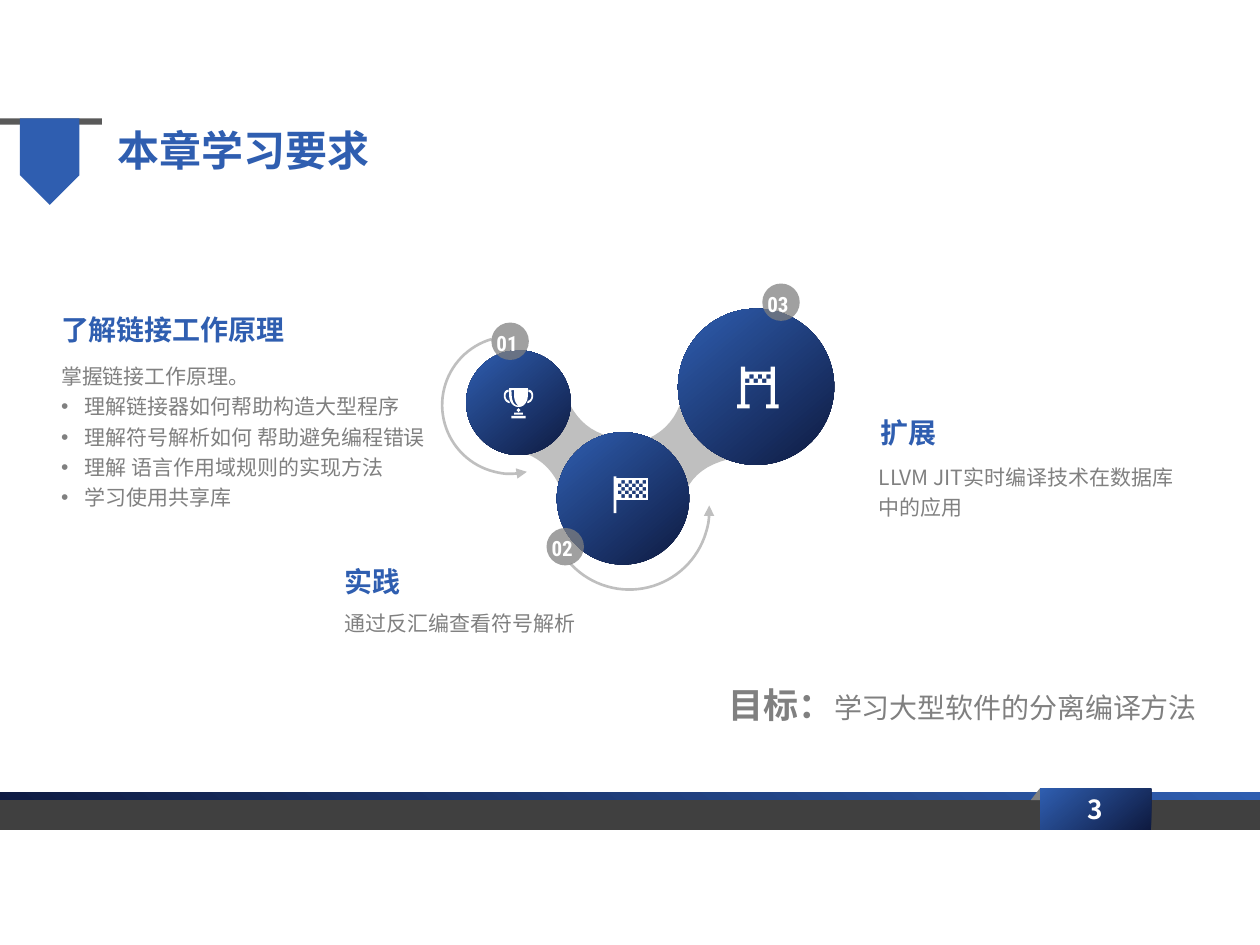
from typing import NamedTuple

from lxml import etree
from pptx import Presentation
from pptx.dml.color import RGBColor
from pptx.enum.shapes import MSO_SHAPE
from pptx.enum.text import MSO_ANCHOR, PP_ALIGN
from pptx.oxml.ns import qn
from pptx.util import Pt

RECT, OVAL = MSO_SHAPE.RECTANGLE, MSO_SHAPE.OVAL
ARC, WEDGE = MSO_SHAPE.ARC, MSO_SHAPE.ISOSCELES_TRIANGLE
TOP, MIDDLE = MSO_ANCHOR.TOP, MSO_ANCHOR.MIDDLE
LEFT, CENTER, JUSTIFY = PP_ALIGN.LEFT, PP_ALIGN.CENTER, PP_ALIGN.JUSTIFY

NAVY = RGBColor(0x0E, 0x1A, 0x40)
BLUE = RGBColor(0x2F, 0x5E, 0xB0)
DARK = RGBColor(0x40, 0x40, 0x40)
SLATE = RGBColor(0x59, 0x59, 0x59)
GRAY = RGBColor(0x80, 0x80, 0x80)
BADGE = RGBColor(0x7F, 0x7F, 0x7F)
SILVER = RGBColor(0xBF, 0xBF, 0xBF)
WHITE = RGBColor(0xFF, 0xFF, 0xFF)

SANS, NARROW = "Noto Sans CJK SC", "Roboto Condensed"


class Box(NamedTuple):
    x: float
    y: float
    w: float
    h: float


class Span(NamedTuple):
    text: str
    size: float
    color: RGBColor
    bold: bool = False
    font: str = SANS


class Line(NamedTuple):
    spans: list[Span]
    space: float = 1.0
    bullet: bool = False
    align: PP_ALIGN = LEFT


class Topic(NamedTuple):
    title: str
    head: Box
    body: Box
    lead: str
    items: tuple[str, ...] = ()


class Swirl(NamedTuple):
    box: Box
    turn: float
    start: float
    end: float


def lengths(box: Box) -> list[Pt]:
    return [Pt(v) for v in box]


def add_form(slide, kind, box: Box, color: RGBColor | None):
    form = slide.shapes.add_shape(kind, *lengths(box))
    form.shadow.inherit = False
    form.line.fill.background()
    if color is None:
        form.fill.background()
    else:
        form.fill.solid()
        form.fill.fore_color.rgb = color
    return form


def add_shade(slide, kind, box: Box, angle: float) -> None:
    fill = add_form(slide, kind, box, BLUE).fill
    fill.gradient()
    fill.gradient_angle = angle
    for stop, color, place in zip(fill.gradient_stops, (NAVY, BLUE), (0, 1)):
        stop.color.rgb = color
        stop.position = place


def flatten(path: list[tuple], steps: int = 12) -> list[tuple]:
    points = [path[0]]
    for part in path[1:]:
        if len(part) == 2:
            points.append(part)
            continue
        ax, ay = points[-1]
        bx, by, cx, cy, dx, dy = part
        for i in range(1, steps + 1):
            t = i / steps
            u = 1 - t
            k = (u**3, 3 * u * u * t, 3 * u * t * t, t**3)
            points.append((k[0] * ax + k[1] * bx + k[2] * cx + k[3] * dx,
                           k[0] * ay + k[1] * by + k[2] * cy + k[3] * dy))
    return points


def add_outline(slide, paths: list[list], color: RGBColor, x: float = 0, y: float = 0) -> None:
    rings = [[(Pt(x + a), Pt(y + b)) for a, b in flatten(path)] for path in paths]
    pen = slide.shapes.build_freeform(*rings[0][0], scale=1.0)
    for i, ring in enumerate(rings):
        if i:
            pen.move_to(*ring[0])
        pen.add_line_segments(ring[1:], close=True)
    form = pen.convert_to_shape()
    form.shadow.inherit = False
    form.fill.solid()
    form.fill.fore_color.rgb = color
    form.line.fill.background()


def block(x: float, y: float, w: float, h: float) -> list[tuple]:
    return [(x, y), (x + w, y), (x + w, y + h), (x, y + h)]


def checks(x: float, y: float, side: float, rows: int, cols: int) -> list[list]:
    return [block(x + c * side, y + r * side, side, side)
            for r in range(rows) for c in range(cols) if (r + c) % 2 == 0]


def write(frame, lines: list[Line], anchor: MSO_ANCHOR = TOP) -> None:
    frame.word_wrap = True
    frame.vertical_anchor = anchor
    for i, line in enumerate(lines):
        para = frame.add_paragraph() if i else frame.paragraphs[0]
        para.alignment = line.align
        para.line_spacing = line.space
        if line.bullet:
            props = para._p.get_or_add_pPr()
            props.set("marL", str(Pt(13.5)))
            props.set("indent", str(-Pt(13.5)))
            etree.SubElement(props, qn("a:buFont"), typeface="Arial")
            etree.SubElement(props, qn("a:buChar"), char="•")
        for span in line.spans:
            run = para.add_run()
            run.text = span.text
            font = run.font
            font.size, font.bold, font.name = Pt(span.size), span.bold, span.font
            font.color.rgb = span.color
            etree.SubElement(run._r.get_or_add_rPr(), qn("a:ea"), typeface=span.font)


def add_text(slide, box: Box, lines: list[Line], anchor: MSO_ANCHOR = TOP) -> None:
    frame = slide.shapes.add_textbox(*lengths(box)).text_frame
    frame.margin_left = frame.margin_right = Pt(5.4)
    frame.margin_top = frame.margin_bottom = Pt(2.7)
    write(frame, lines, anchor)


def add_swirl(slide, swirl: Swirl) -> None:
    form = add_form(slide, ARC, swirl.box, None)
    form.rotation = swirl.turn
    form.adjustments[0], form.adjustments[1] = swirl.start, swirl.end
    form.line.color.rgb = SILVER
    form.line.width = Pt(1.5)
    etree.SubElement(form.line._get_or_add_ln(), qn("a:headEnd"), type="triangle")


def add_badge(slide, x: float, y: float, label: str) -> None:
    form = add_form(slide, OVAL, Box(x, y, 21.4, 21.4), BADGE)
    tint = form._element.spPr.find(qn("a:solidFill"))[0]
    etree.SubElement(tint, qn("a:alpha"), val="74000")
    add_text(slide, Box(x - 2.5, y + 0.8, 26.6, 21.4),
             [Line([Span(label, 12, WHITE, True, NARROW)])], MIDDLE)


def add_topic(slide, topic: Topic) -> None:
    add_text(slide, topic.head, [Line([Span(topic.title, 16, BLUE, True)])])
    lines = [Line([Span(topic.lead, 12, GRAY)], 1.2)]
    lines += [Line([Span(item, 12, GRAY)], 1.2, True) for item in topic.items]
    add_text(slide, topic.body, lines)


BLOBS = [
    [(390.2, 226.1), (421.2, 261.4), (400.3, 265, 392.4, 275, 388.8, 289.4),
     (357.8, 254.2), (371.5, 252, 385.2, 245.5, 390.2, 226.1)],
    [(290.9, 257), (321.8, 221.8), (328.3, 241.9, 339.8, 248.4, 354.2, 250.6),
     (322.6, 285.8), (319, 272.2, 310.3, 259.2, 290.9, 257)],
]
CUP = [
    [(2.9, 0), (13.7, 0), (13.7, 3.6), (13.7, 7.9, 11.5, 10.8, 8.3, 10.8),
     (5.1, 10.8, 2.9, 7.9, 2.9, 3.6)],
    [(5.8, 1.2), (4.3, 1.2), (4.3, 5, 4.6, 10, 8.3, 10), (5.2, 7.9, 5.8, 3, 5.8, 1.2)],
    [(13.9, 0.9), (18, 0.9, 17.5, 8.3, 13.2, 8.6), (13.6, 7.3),
     (16.2, 7, 16.5, 2.2, 13.9, 2.2)],
    [(2.7, 0.9), (-1.4, 0.9, -0.9, 8.3, 3.4, 8.6), (3, 7.3),
     (0.4, 7, 0.1, 2.2, 2.7, 2.2)],
    [(8.3, 11.4), (9.5, 12.6), (8.3, 13.8), (7.1, 12.6)],
    block(5.8, 14, 5, 1.2),
    block(4.2, 15.8, 8.2, 1.5),
]
FLAG = [block(0, 0, 1.6, 21), block(1.6, 1, 18, 12.4), block(2.5, 2.1, 16.2, 10.2),
        *checks(2.5, 2.1, 2.03, 5, 8)]
GATE = [block(0, 21.6, 7.2, 2.2), block(16.6, 21.6, 7.2, 2.2),
        block(2.2, 0, 2.4, 21.6), block(19.2, 0, 2.4, 21.6),
        block(4.6, 2.9, 14.6, 1.5), block(4.6, 9.3, 14.6, 1.1),
        *checks(4.6, 4.4, 2.43, 2, 6)]
ORBS = [(Box(266.4, 200.2, 59.8, 59.8), CUP, 288, 221.8),
        (Box(318.2, 247, 75.6, 75.6), FLAG, 350.6, 272.2),
        (Box(387.4, 176.4, 89.3, 89.3), GATE, 421.2, 209.5)]
SWIRLS = [Swirl(Box(252.7, 192.2, 78.5, 78.5), 253.9, 109.56, 0),
          Swirl(Box(313.9, 245.5, 91.4, 91.4), 136.3, 132.45, 0.57)]
BADGES = [(280.8, 184.3, "01"), (312.3, 301.7, "02"), (435.6, 162, "03")]
TOPICS = [
    Topic("了解链接工作原理", Box(29.5, 175.7, 141, 24.5), Box(29.5, 202.3, 224, 93),
          "掌握链接工作原理。",
          ("理解链接器如何帮助构造大型程序", "理解符号解析如何 帮助避免编程错误",
           "理解 语言作用域规则的实现方法", "学习使用共享库")),
    Topic("实践", Box(191.5, 319.7, 127, 24.5), Box(191.5, 343.4, 196, 21.6),
          "通过反汇编查看符号解析"),
    Topic("扩展", Box(497.5, 234.7, 135, 24.5), Box(496.8, 259.9, 186.5, 40.3),
          "LLVM JIT实时编译技术在数据库中的应用"),
]


def main() -> None:
    deck = Presentation()
    deck.slide_width, deck.slide_height = Pt(720), Pt(540)
    slide = deck.slides.add_slide(deck.slide_layouts[5])
    add_form(slide, RECT, Box(0, 67.7, 58.3, 3.5), SLATE)
    add_form(slide, RECT, Box(11.4, 67.7, 34, 32.4), BLUE)
    add_form(slide, WEDGE, Box(11.4, 100.1, 34, 17), BLUE).rotation = 180
    add_shade(slide, RECT, Box(0, 452.7, 720, 21.6), 50)
    add_form(slide, RECT, Box(0, 457.2, 720, 17.1), DARK)
    add_outline(slide, [[(594, 450.7), (648.7, 450.7), (649.4, 457.2), (589, 457.2)]], GRAY)
    add_shade(slide, RECT, Box(594.4, 450.7, 63.4, 23.4), 130)
    add_text(slide, Box(602.6, 450.7, 46.8, 23.4),
             [Line([Span("3", 15, WHITE, True)], align=CENTER)], MIDDLE)
    for blob in BLOBS:
        add_outline(slide, [blob], SILVER)
    for box, icon, x, y in ORBS:
        add_shade(slide, OVAL, box, 130)
        add_outline(slide, icon, WHITE, x, y)
    for swirl in SWIRLS:
        add_swirl(slide, swirl)
    for x, y, label in BADGES:
        add_badge(slide, x, y, label)
    for topic in TOPICS:
        add_topic(slide, topic)
    add_text(slide, Box(411.1, 383, 285.8, 34.6),
             [Line([Span("目标：", 20, GRAY, True),
                    Span("学习大型软件的分离编译方法", 16, GRAY)], 1.2, align=JUSTIFY)])
    title = slide.shapes.title
    title.left, title.top, title.width, title.height = lengths(Box(54, 67.7, 170, 36))
    write(title.text_frame, [Line([Span("本章学习要求", 24, BLUE, True)], align=CENTER)], MIDDLE)
    deck.save("out.pptx")


if __name__ == "__main__":
    main()
